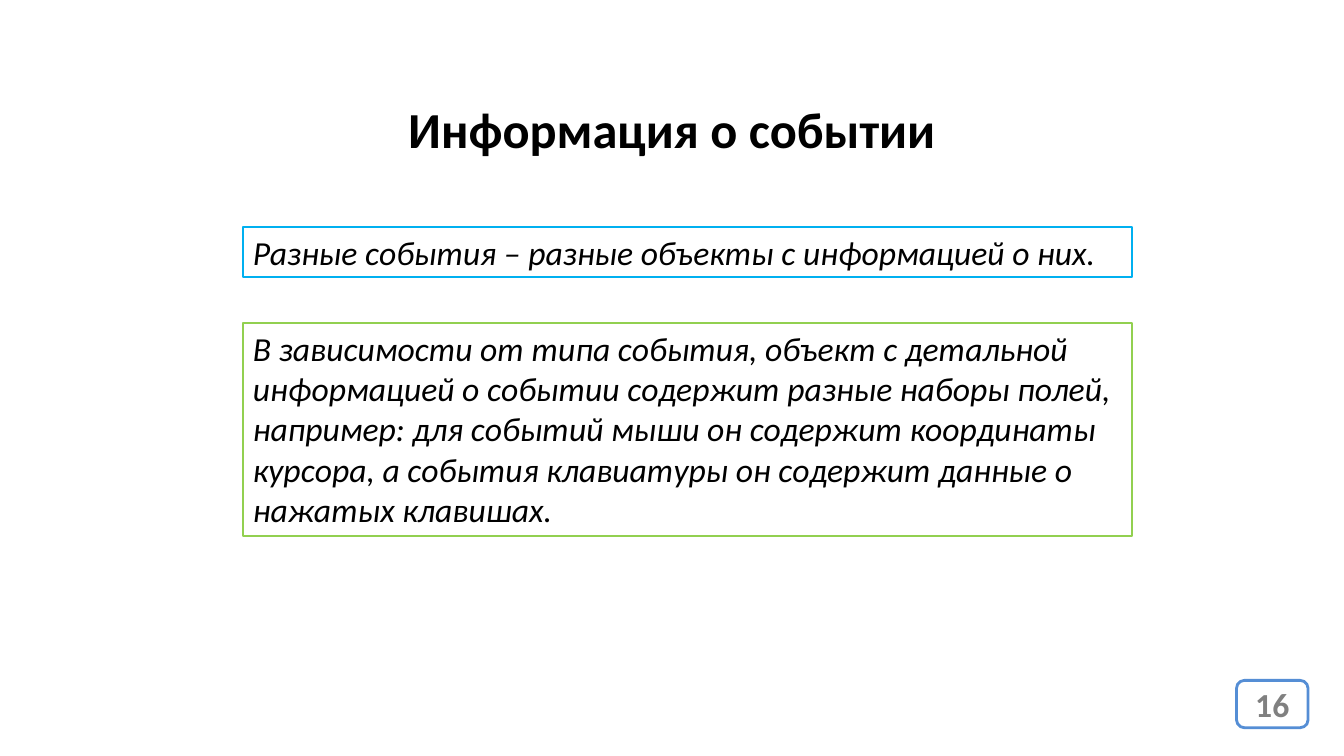
import pptx
import pptx.util
import pptx.dml.color
import pptx.enum.shapes
import pptx.enum.text

Inch = pptx.util.Inches
Kind = pptx.enum.shapes.MSO_SHAPE
Align = pptx.enum.text.PP_ALIGN
Anchor = pptx.enum.text.MSO_ANCHOR


def tint(code):
    return pptx.dml.color.RGBColor.from_string(code)


def add_box(kind, area, line, width, fill, text, size, color, bold, align, anchor):
    box = slide.shapes.add_shape(kind, *[Inch(n) for n in area])
    box.shadow.inherit = False
    if fill:
        box.fill.solid()
        box.fill.fore_color.rgb = tint(fill)
    else:
        box.fill.background()
    box.line.color.rgb = tint(line)
    box.line.width = pptx.util.Pt(width)
    write(box.text_frame, text, size, color, bold, align, anchor)


def write(frame, text, size, color, bold, align, anchor):
    frame.word_wrap = True
    frame.vertical_anchor = anchor
    par = frame.paragraphs[0]
    par.alignment = align
    run = par.add_run()
    run.text = text
    run.font.name = "Calibri"
    run.font.size = pptx.util.Pt(size)
    run.font.bold = bold
    run.font.italic = not bold
    run.font.color.rgb = tint(color)


deck = pptx.Presentation()
wide, high = 13.33, 7.5
deck.slide_width = Inch(wide)
deck.slide_height = Inch(high)
slide = deck.slides.add_slide(deck.slide_layouts[6])

add_box(Kind.ROUNDED_RECTANGLE, (wide * 0.92, high * 0.9, 0.71, 0.47),
        "558ED5", 2, "FFFFFF", "16", 24, "808080", True, Align.CENTER, Anchor.MIDDLE)

title = slide.shapes.add_textbox(0, Inch(0.92), Inch(wide), Inch(0.71))
write(title.text_frame, "Информация о событии", 36, "000000", True, Align.CENTER, Anchor.TOP)

notes = [
    (0.5, "00B0F0", "Разные события – разные объекты с информацией о них."),
    (2.12, "92D050", "В зависимости от типа события, объект с детальной информацией "
     "о событии содержит разные наборы полей, например: для событий мыши он содержит "
     "координаты курсора, а события клавиатуры он содержит данные о нажатых клавишах."),
]
top, gap = high * 0.3, 0.45
for tall, line, text in notes:
    add_box(Kind.RECTANGLE, (2.41, top, 8.82, tall),
            line, 1.5, None, text, 24, "000000", False, Align.LEFT, Anchor.TOP)
    top += tall + gap

deck.save("out.pptx")
